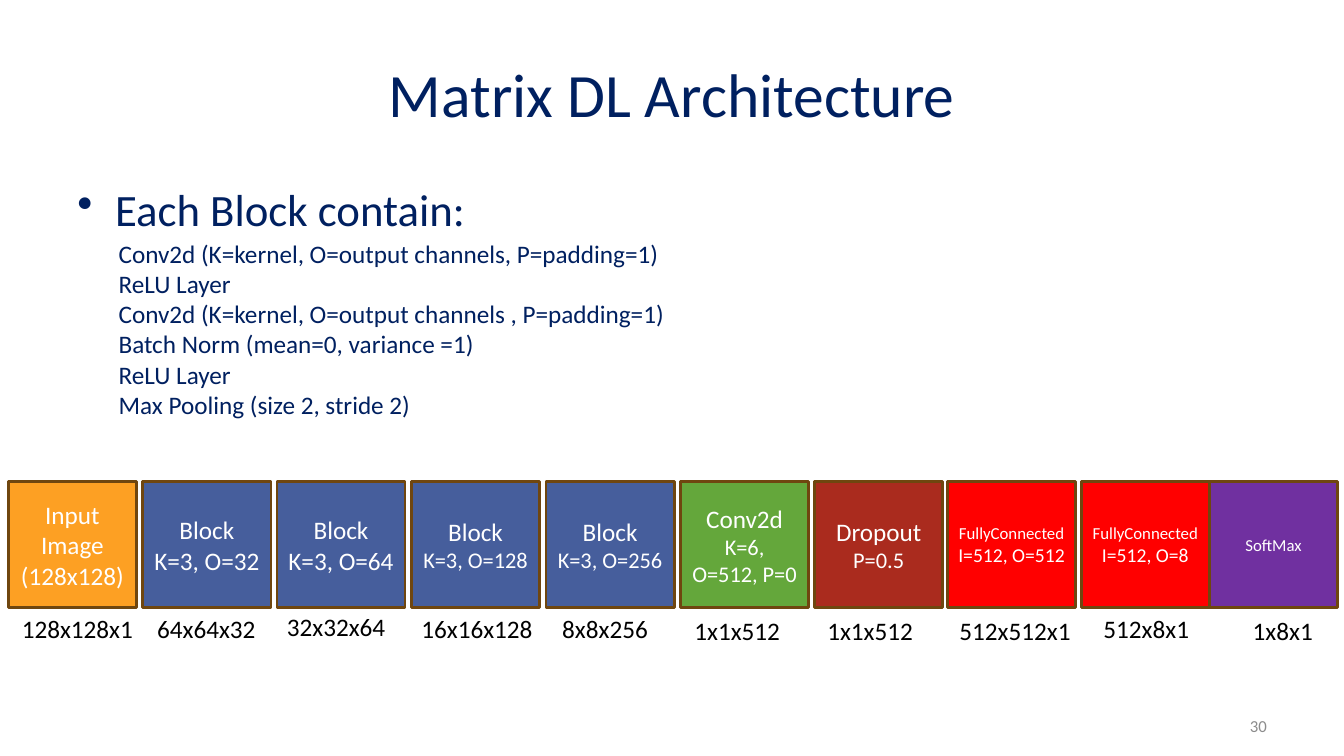
import pptx
import pptx.dml.color
import pptx.enum.shapes
import pptx.enum.text
import pptx.oxml
import pptx.oxml.ns
import pptx.util

Cm = pptx.util.Cm
Align = pptx.enum.text.PP_ALIGN
Anchor = pptx.enum.text.MSO_ANCHOR

NAVY, WHITE, BLACK, GREY = "002060", "FFFFFF", "000000", "8C8C8C"
ORANGE, BLUE, GREEN, BRICK = "FDA023", "465E9C", "64A73B", "AA2B1E"
RED, PURPLE, BROWN = "FF0000", "7030A0", "6F460F"

BLOCK_STEPS = [
    "Conv2d (K=kernel, O=output channels, P=padding=1)",
    "ReLU Layer",
    "Conv2d (K=kernel, O=output channels , P=padding=1)",
    "Batch Norm (mean=0, variance =1)",
    "ReLU Layer",
    "Max Pooling (size 2, stride 2)",
]

# Left edge, fill, lines with sizes, output size, left and top of its label
LAYERS = [
    (0.21, ORANGE, [("Input Image (128x128)", 18)], "128x128x1", 0.3, 15.32),
    (3.6, BLUE, [("Block", 18), ("K=3, O=32", 18)], "64x64x32", 3.71, 15.32),
    (6.98, BLUE, [("Block", 18), ("K=3, O=64", 18)], "32x32x64", 6.98, 15.29),
    (10.37, BLUE, [("Block", 18), ("K=3, O=128", 16)], "16x16x128", 10.37, 15.32),
    (13.76, BLUE, [("Block", 18), ("K=3, O=256", 16)], "8x8x256", 13.92, 15.32),
    (17.15, GREEN, [("Conv2d", 18), ("K=6, O=512, P=0", 16)], "1x1x512", 17.25, 15.37),
    (20.53, BRICK, [("Dropout", 18), ("P=0.5", 16)], "1x1x512", 20.6, 15.39),
    (23.88, RED, [("FullyConnected", 12), ("I=512, O=512", 14)], "512x512x1", 23.93, 15.37),
    (27.25, RED, [("FullyConnected", 12), ("I=512, O=8", 14)], "512x8x1", 27.56, 15.32),
    (30.48, PURPLE, [("SoftMax", 12)], "1x8x1", 31.32, 15.39),
]


def color(value):
    return pptx.dml.color.RGBColor.from_string(value)


class Page:
    font_name = "Calibri"

    def __init__(self, deck):
        self.shapes = deck.slides.add_slide(deck.slide_layouts[6]).shapes

    def fill_frame(self, frame, lines, ink, align, anchor, wrap=True):
        """Fill a text frame with (text, size) lines."""
        frame.word_wrap = wrap
        frame.vertical_anchor = anchor
        for index, (text, size) in enumerate(lines):
            para = frame.add_paragraph() if index else frame.paragraphs[0]
            para.text = text
            para.alignment = align
            para.font.name = self.font_name
            para.font.size = pptx.util.Pt(size)
            para.font.color.rgb = color(ink)

    def text(self, place, lines, ink=NAVY, align=Align.LEFT,
             anchor=Anchor.TOP, wrap=True):
        box = self.shapes.add_textbox(*map(Cm, place))
        self.fill_frame(box.text_frame, lines, ink, align, anchor, wrap)

    def bullet(self, place, text, size):
        box = self.shapes.add_textbox(*map(Cm, place))
        properties = box.text_frame.paragraphs[0]._p.get_or_add_pPr()
        properties.set("marL", str(Cm(0.95)))
        properties.set("indent", str(Cm(-0.95)))
        mark = pptx.oxml.parse_xml(
            f'<a:buChar {pptx.oxml.ns.nsdecls("a")} char="•"/>')
        properties.append(mark)
        self.fill_frame(box.text_frame, [(text, size)], NAVY, Align.LEFT, Anchor.TOP)

    def layer(self, place, fill, lines):
        block = self.shapes.add_shape(
            pptx.enum.shapes.MSO_SHAPE.RECTANGLE, *map(Cm, place))
        block.shadow.inherit = False
        block.fill.solid()
        block.fill.fore_color.rgb = color(fill)
        block.line.color.rgb = color(BROWN)
        block.line.width = pptx.util.Pt(2)
        self.fill_frame(block.text_frame, lines, WHITE, Align.CENTER, Anchor.MIDDLE)


def main():
    deck = pptx.Presentation()
    deck.slide_width, deck.slide_height = Cm(33.87), Cm(19.05)
    page = Page(deck)

    page.text((1.7, 0.76, 30.48, 3.18), [("Matrix DL Architecture", 44)],
              align=Align.CENTER, anchor=Anchor.MIDDLE)
    page.bullet((1.7, 4.45, 30.48, 12.57), "Each Block contain:", 32)
    page.text((24.28, 17.78, 7.9, 1.02), [("30", 12)], GREY,
              Align.RIGHT, Anchor.MIDDLE)
    page.text((2.74, 5.87, 16.94, 4.88), [(step, 18) for step in BLOCK_STEPS])

    for left, fill, lines, output, label_left, label_top in LAYERS:
        page.layer((left, 12.14, 3.23, 3.18), fill, lines)
        label_width = 0.37 + 0.33 * len(output)
        page.text((label_left, label_top, label_width, 1.02), [(output, 18)],
                  BLACK, wrap=False)

    deck.save("out.pptx")


if __name__ == "__main__":
    main()
